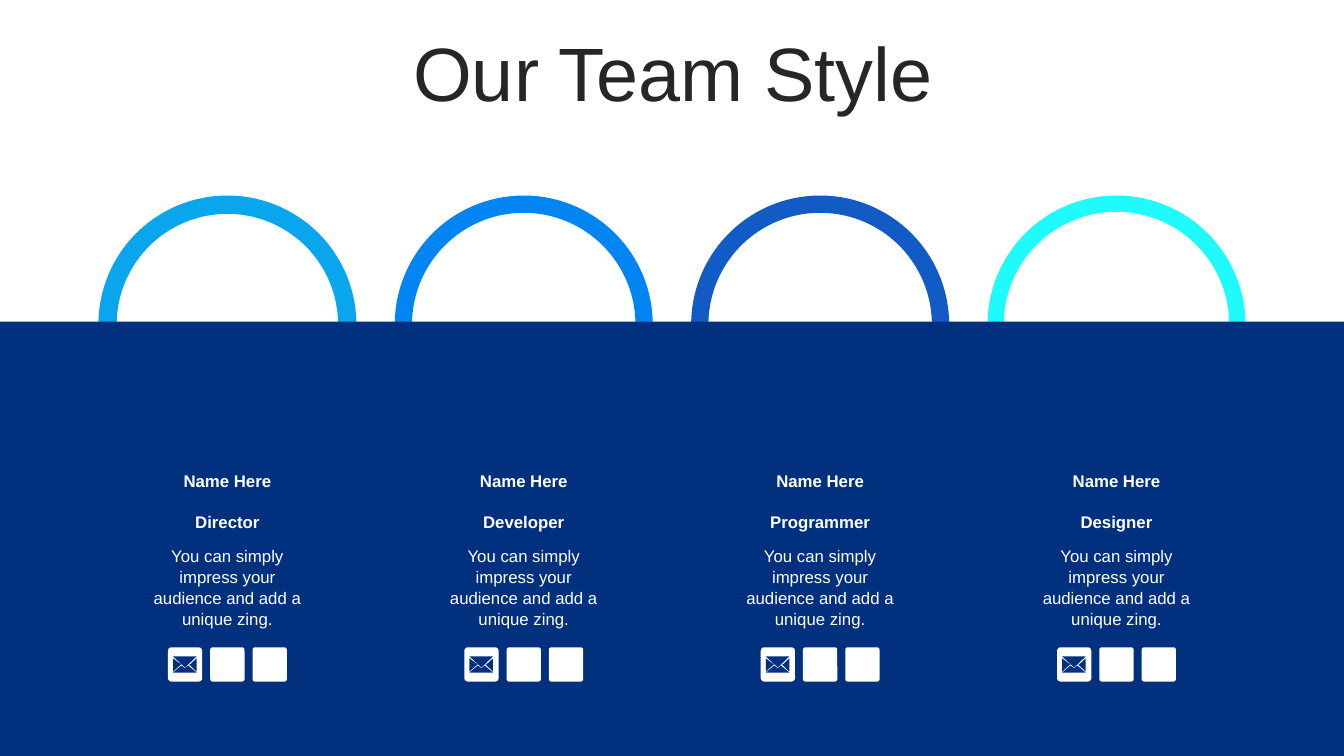
"""Build the team slide: four arched members above a navy band."""
from pptx import Presentation
from pptx.dml.color import RGBColor
from pptx.enum.shapes import MSO_SHAPE
from pptx.enum.text import MSO_ANCHOR, PP_ALIGN
from pptx.util import Pt

WIDTH, HEIGHT = 960, 540
NAVY, WHITE, CHARCOAL = "00307E", "FFFFFF", "262626"
MEMBERS = [
    ("Director", "0AA6ED", 1.188, 0.071),
    ("Developer", "0085F2", 1.178, 0.067),
    ("Programmer", "125AC4", 1.178, 0.067),
    ("Designer", "1FFBFD", 1.168, 0.063),
]
PITCH = 211.7
ARCH_SIZE = 184.3
BAND_TOP = 229.7
ICON_SIZE, ICON_PITCH, ICON_TOP = 24.5, 30.2, 462.4
BLURB = "You can simply impress your audience and add a unique zing."
ENVELOPE_FLAPS = [
    [(14.4, 13), (12.2, 15), (9.6, 13), (3.6, 18), (20.4, 18)],
    [(20.4, 7.9), (15.8, 12.2), (15.1, 12.2), (20.4, 17.3)],
    [(3.6, 7.9), (3.6, 17.3), (9.4, 12.2)],
    [(3.6, 6.5), (12.2, 14.4), (20.4, 6.5)],
]


def color(hex_code):
    return RGBColor.from_string(hex_code)


def paint(shape, hex_code):
    shape.shadow.inherit = False
    shape.fill.solid()
    shape.fill.fore_color.rgb = color(hex_code)
    shape.line.fill.background()


def add_block(shapes, preset, left, top, width, height, hex_code, adjustments=()):
    block = shapes.add_shape(preset, Pt(left), Pt(top), Pt(width), Pt(height))
    for index, value in enumerate(adjustments):
        block.adjustments[index] = value
    paint(block, hex_code)


def write(frame, text, size, hex_code, anchor, bold=False, spacing=None):
    frame.text = text
    frame.word_wrap = True
    frame.vertical_anchor = anchor
    paragraph = frame.paragraphs[0]
    paragraph.alignment = PP_ALIGN.CENTER
    paragraph.line_spacing = spacing
    font = paragraph.runs[0].font
    font.name = "Arial"
    font.size = Pt(size)
    font.bold = bold
    font.color.rgb = color(hex_code)


def add_caption(shapes, text, center, top, width, height, **style):
    caption = shapes.add_textbox(Pt(center - width / 2), Pt(top), Pt(width), Pt(height))
    write(caption.text_frame, text, 12, WHITE, **style)


def add_envelope(shapes, left, top):
    flaps = [[(Pt(left + x), Pt(top + y)) for x, y in flap] for flap in ENVELOPE_FLAPS]
    builder = shapes.build_freeform(*flaps[0][0])
    builder.add_line_segments(flaps[0][1:], close=True)
    for flap in flaps[1:]:
        builder.move_to(*flap[0])
        builder.add_line_segments(flap[1:], close=True)
    paint(builder.convert_to_shape(), NAVY)


def add_contact_icons(shapes, center):
    first = center - ICON_PITCH - ICON_SIZE / 2
    for index, rounding in enumerate((0.1, 0.07, 0.07)):
        add_block(shapes, MSO_SHAPE.ROUNDED_RECTANGLE, first + index * ICON_PITCH,
                  ICON_TOP, ICON_SIZE, ICON_SIZE, WHITE, [rounding])
    add_envelope(shapes, first, ICON_TOP)


def add_member(slide, role, center):
    shapes = slide.shapes.add_group_shape().shapes
    heading = {"anchor": MSO_ANCHOR.MIDDLE, "bold": True}
    add_caption(shapes, "Name Here", center, 334, 121.7, 19.4, **heading)
    add_caption(shapes, role, center, 360, 132.5, 25.2, **heading)
    add_caption(shapes, BLURB, center, 385.2, 132.5, 65.5,
                anchor=MSO_ANCHOR.TOP, spacing=1.05)
    add_contact_icons(shapes, center)


def add_title(slide):
    title = slide.shapes.title
    title.left, title.top, title.width, title.height = Pt(25), Pt(26.6), Pt(911.5), Pt(56.9)
    write(title.text_frame, "Our Team Style", 54, CHARCOAL, MSO_ANCHOR.MIDDLE, spacing=0.9)


def main():
    presentation = Presentation()
    presentation.slide_width, presentation.slide_height = Pt(WIDTH), Pt(HEIGHT)
    slide = presentation.slides.add_slide(presentation.slide_layouts[5])
    add_title(slide)
    centers = [WIDTH / 2 + (index - 1.5) * PITCH for index in range(len(MEMBERS))]
    for center, (_, arch_color, sweep, thickness) in zip(centers, MEMBERS):
        add_block(slide.shapes, MSO_SHAPE.BLOCK_ARC, center - ARCH_SIZE / 2, 139.7,
                  ARCH_SIZE, ARCH_SIZE, arch_color, [108, sweep, thickness])
    add_block(slide.shapes, MSO_SHAPE.RECTANGLE, 0, BAND_TOP, WIDTH, HEIGHT - BAND_TOP, NAVY)
    for center, (role, *_) in zip(centers, MEMBERS):
        add_member(slide, role, center)
    presentation.save("out.pptx")


if __name__ == "__main__":
    main()
